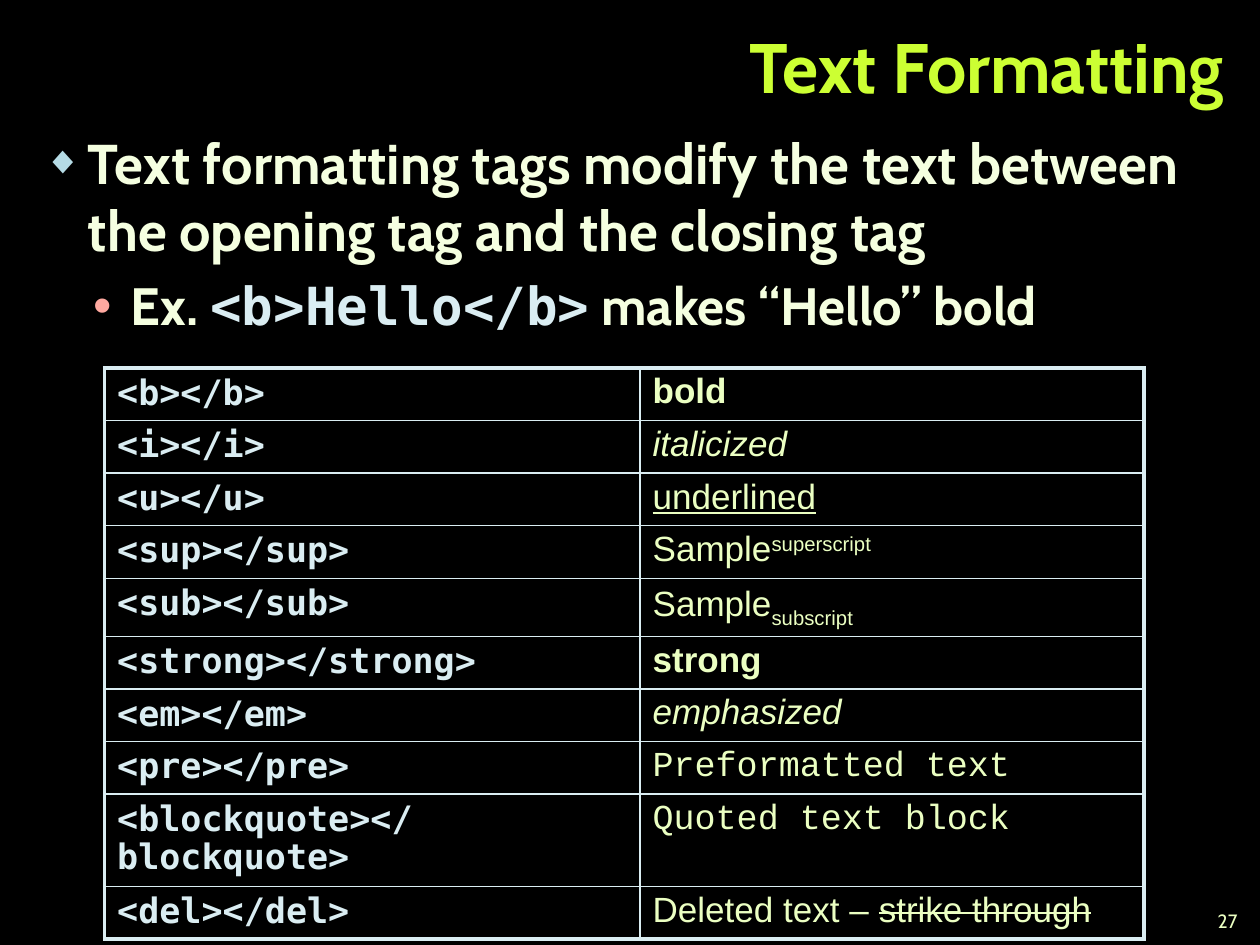
from lxml.etree import SubElement
from pptx import Presentation
from pptx.dml.color import RGBColor
from pptx.enum.text import MSO_ANCHOR as Anchor, PP_ALIGN as Align
from pptx.oxml.ns import qn
from pptx.util import Inches, Pt

BLACK = RGBColor(0x00, 0x00, 0x00)
LIME = RGBColor(0xCC, 0xFF, 0x33)
CREAM = RGBColor(0xF5, 0xFF, 0xE0)
PALE_GREEN = RGBColor(0xEB, 0xFF, 0xC2)
PALE_BLUE = RGBColor(0xDA, 0xED, 0xF2)
BULLET_BLUE = RGBColor(0xB5, 0xDB, 0xE5)
BULLET_PINK = RGBColor(0xFF, 0xA9, 0xA0)
HEADING, CODE, SANS, TYPEWRITER = "Cabin", "DejaVu Sans Mono", "Arial", "Courier New"

FORMAT_ROWS = [
    ("<b></b>", SANS, [("bold", {"b": "1"})]),
    ("<i></i>", SANS, [("italicized", {"i": "1"})]),
    ("<u></u>", SANS, [("underlined", {"u": "sng"})]),
    ("<sup></sup>", SANS, [("Sample", {}), ("superscript", {"baseline": "30000"})]),
    ("<sub></sub>", SANS, [("Sample", {}), ("subscript", {"baseline": "-25000"})]),
    ("<strong></strong>", SANS, [("strong", {"b": "1"})]),
    ("<em></em>", SANS, [("emphasized", {"i": "1"})]),
    ("<pre></pre>", TYPEWRITER, [("Preformatted text", {})]),
    ("<blockquote></blockquote>", TYPEWRITER, [("Quoted text block", {})]),
    ("<del></del>", SANS, [("Deleted text – ", {}), ("strike through", {"strike": "sngStrike"})]),
]


class SlideBuilder:
    """Holds the style and the current slide, and adds each kind of element."""

    def __init__(self, presentation):
        self.slide = presentation.slides.add_slide(presentation.slide_layouts[6])
        self.slide.background.fill.solid()
        self.slide.background.fill.fore_color.rgb = BLACK

    def text_box(self, left, top, width, height, anchor=Anchor.TOP):
        shape = self.slide.shapes.add_textbox(
            Inches(left), Inches(top), Inches(width), Inches(height)
        )
        frame = shape.text_frame
        frame.word_wrap = True
        frame.vertical_anchor = anchor
        return frame

    def run(self, paragraph, text, size, font, color, **attributes):
        run = paragraph.add_run()
        run.text = text
        run.font.size = Pt(size)
        run.font.name = font
        run.font.color.rgb = color
        for name, value in attributes.items():
            run.font._element.set(name, value)

    def bullet(self, paragraph, character, color, margin, hanging, percent=100):
        paragraph.space_before = Pt(6)
        properties = paragraph._p.get_or_add_pPr()
        properties.set("marL", str(Inches(margin)))
        properties.set("indent", str(-Inches(hanging)))
        bullet_color = SubElement(properties, qn("a:buClr"))
        SubElement(bullet_color, qn("a:srgbClr"), val=str(color))
        SubElement(properties, qn("a:buSzPct"), val=str(percent * 1000))
        SubElement(properties, qn("a:buFont"), typeface=SANS)
        SubElement(properties, qn("a:buChar"), char=character)

    def borders(self, cell, outer_sides):
        properties = cell._tc.get_or_add_tcPr()
        for side in "LRTB":
            width = Pt(2.25 if side in outer_sides else 1)
            line = SubElement(properties, qn(f"a:ln{side}"), w=str(width))
            fill = SubElement(line, qn("a:solidFill"))
            SubElement(fill, qn("a:srgbClr"), val=str(PALE_BLUE))

    def table(self, left, top, column_widths, row_height, rows):
        table = self.slide.shapes.add_table(
            len(rows), len(column_widths), Inches(left), Inches(top),
            Inches(sum(column_widths)), Inches(row_height * len(rows)),
        ).table
        table.first_row = table.horz_banding = False
        for column, width in zip(table.columns, column_widths):
            column.width = Inches(width)
        for index, (tag, font, samples) in enumerate(rows):
            table.rows[index].height = Inches(row_height)
            edges = ("T" if index == 0 else "") + ("B" if index == len(rows) - 1 else "")
            contents = [
                ("L", CODE, PALE_BLUE, [(tag, {"b": "1"})]),
                ("R", font, PALE_GREEN, samples),
            ]
            for column, (side, typeface, color, runs) in enumerate(contents):
                cell = table.cell(index, column)
                self.borders(cell, edges + side)
                cell.fill.background()
                paragraph = cell.text_frame.paragraphs[0]
                paragraph.line_spacing = 0.95
                for text, attributes in runs:
                    self.run(paragraph, text, 20, typeface, color, **attributes)


def main():
    presentation = Presentation()
    presentation.slide_width = Inches(10)
    presentation.slide_height = Inches(7.5)
    builder = SlideBuilder(presentation)

    title = builder.text_box(2.64, 0.08, 7.17, 0.99, Anchor.MIDDLE).paragraphs[0]
    title.alignment = Align.RIGHT
    title.line_spacing = Pt(40)
    builder.run(title, "Text Formatting", 40, HEADING, LIME, b="1")

    body = builder.text_box(0.25, 0.97, 9.5, 6.28)
    statement = body.paragraphs[0]
    builder.bullet(statement, "◆", BULLET_BLUE, 0.35, 0.35, 70)
    builder.run(
        statement,
        "Text formatting tags modify the text between the opening tag and the closing tag",
        32, HEADING, CREAM, b="1",
    )
    example = body.add_paragraph()
    example.level = 1
    builder.bullet(example, "•", BULLET_PINK, 0.69, 0.3)
    for text, font, color in [
        ("Ex. ", HEADING, CREAM),
        ("<b>Hello</b>", CODE, PALE_BLUE),
        (" makes “Hello” bold", HEADING, CREAM),
    ]:
        builder.run(example, text, 30, font, color, b="1")

    builder.table(0.83, 2.92, [4.25, 4], 0.4, FORMAT_ROWS)

    number = builder.text_box(9.42, 7.17, 0.5, 0.25).paragraphs[0]
    number.alignment = Align.RIGHT
    builder.run(number, "27", 11, HEADING, PALE_GREEN)

    presentation.save("out.pptx")


if __name__ == "__main__":
    main()
